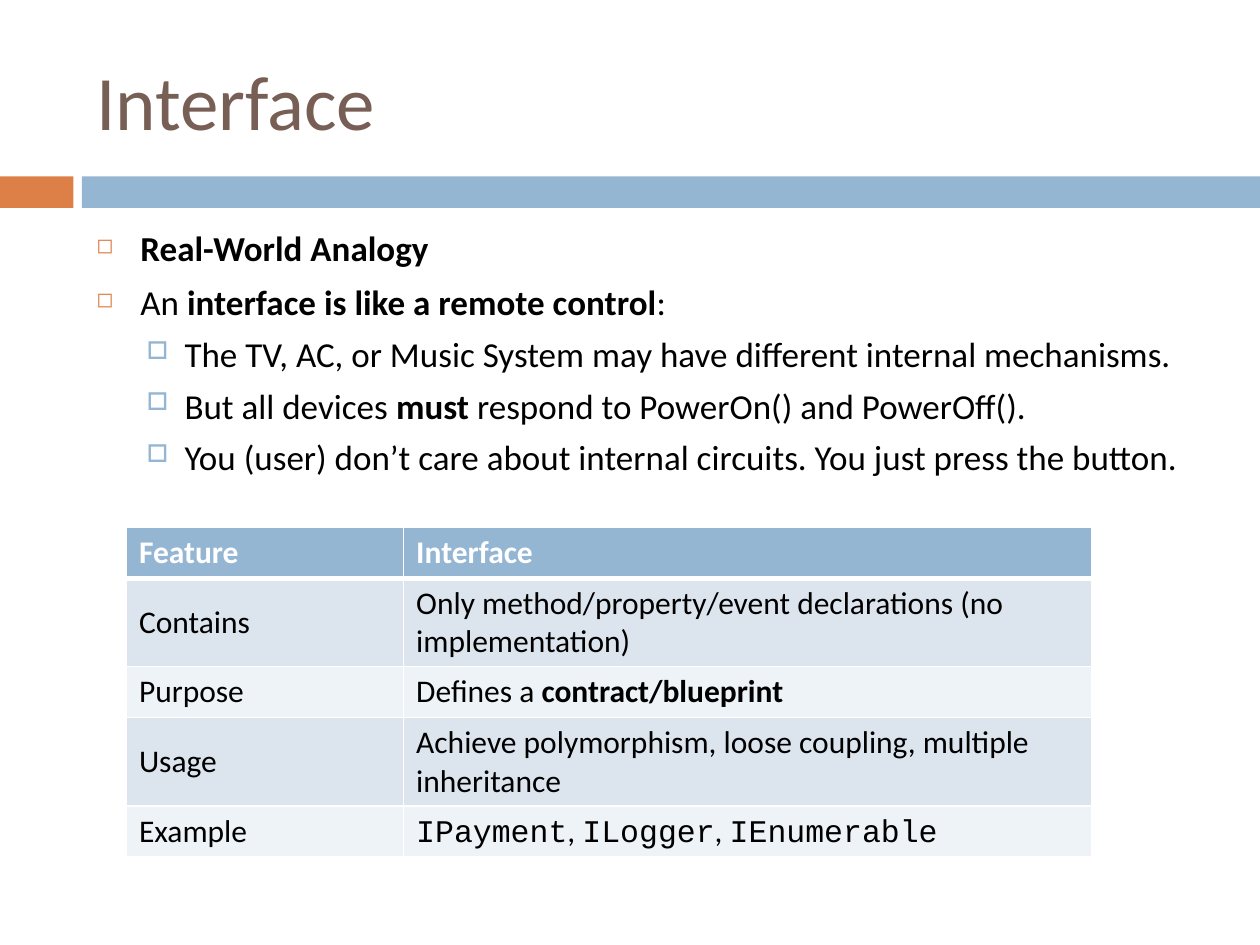
from lxml import etree
from pptx import Presentation
from pptx.dml.color import RGBColor
from pptx.enum.shapes import MSO_SHAPE
from pptx.enum.text import MSO_ANCHOR
from pptx.oxml.ns import qn
from pptx.util import Pt

COLORS = {
    "orange": "DD8047", "blue": "94B6D2", "brown": "775F55",
    "black": "000000", "white": "FFFFFF",
    "band_dark": "DCE5EE", "band_light": "EEF3F7",
}
FONT, CODE_FONT = "Calibri", "Courier New"

# Per level: left margin, hanging indent, space before, bullet, colour, size %
LEVELS = [
    (25.2, 25.2, 7, "◻", "orange", 60),
    (50.4, 21.6, 5.5, "□", "blue", 70),
]

# Runs are (text, style), where style is "", "bold" or "code"
BULLETS = [
    (0, [("Real-World Analogy", "bold")]),
    (0, [("An ", ""), ("interface is like a remote control", "bold"), (":", "")]),
    (1, [("The TV, AC, or Music System may have different internal mechanisms.", "")]),
    (1, [("But all devices ", ""), ("must", "bold"),
         (" respond to PowerOn() and PowerOff().", "")]),
    (1, [("You (user) don’t care about internal circuits. "
          "You just press the button.", "")]),
]

ROWS = [
    ([("Feature", "bold")], [("Interface", "bold")]),
    ([("Contains", "")],
     [("Only method/property/event declarations (no implementation)", "")]),
    ([("Purpose", "")], [("Defines a ", ""), ("contract/blueprint", "bold")]),
    ([("Usage", "")],
     [("Achieve polymorphism, loose coupling, multiple inheritance", "")]),
    ([("Example", "")],
     [("IPayment", "code"), (", ", ""), ("ILogger", "code"), (", ", ""),
      ("IEnumerable", "code")]),
]
COL_WIDTHS = [158.4, 393.12]
ROW_HEIGHTS = [29.2, 50.4, 29.2, 50.4, 29.2]


def rgb(name):
    return RGBColor.from_string(COLORS[name])


def add_runs(p, runs, size, color):
    for text, style in runs:
        r = p.add_run()
        r.text = text
        r.font.name = CODE_FONT if style == "code" else FONT
        r.font.size = Pt(size)
        r.font.bold = style == "bold"
        r.font.color.rgb = rgb(color)


def add_text_frame(s, box, anchor):
    tf = s.shapes.add_textbox(*map(Pt, box)).text_frame
    tf.word_wrap = True
    tf.vertical_anchor = anchor
    return tf


def set_bullet(p, level):
    left, hanging, _, char, color, percent = LEVELS[level]
    pPr = p._p.get_or_add_pPr()
    pPr.set("marL", str(Pt(left)))
    pPr.set("indent", str(-Pt(hanging)))
    clr = etree.SubElement(pPr, qn("a:buClr"))
    etree.SubElement(clr, qn("a:srgbClr"), val=COLORS[color])
    etree.SubElement(pPr, qn("a:buSzPct"), val=str(percent * 1000))
    etree.SubElement(pPr, qn("a:buChar"), char=char)


def set_borders(cell, bottom):
    tcPr = cell._tc.get_or_add_tcPr()
    widths = {"a:lnL": 1, "a:lnR": 1, "a:lnT": 1, "a:lnB": bottom}
    for i, (tag, width) in enumerate(widths.items()):
        ln = etree.Element(qn(tag), w=str(Pt(width)))
        fill = etree.SubElement(ln, qn("a:solidFill"))
        etree.SubElement(fill, qn("a:srgbClr"), val=COLORS["white"])
        tcPr.insert(i, ln)  # borders come before the fill


def add_title(s, box):
    tf = add_text_frame(s, box, MSO_ANCHOR.MIDDLE)
    add_runs(tf.paragraphs[0], [("Interface", "")], 44, "brown")


def add_divider(s, box):
    left, top, width, height = box
    accent, gap = 42, 4.8
    start = accent + gap
    for x, w, color in ((left, accent, "orange"),
                        (left + start, width - start, "blue")):
        sp = s.shapes.add_shape(MSO_SHAPE.RECTANGLE,
                                Pt(x), Pt(top), Pt(w), Pt(height))
        sp.shadow.inherit = False
        sp.fill.solid()
        sp.fill.fore_color.rgb = rgb(color)
        sp.line.fill.background()


def add_bullets(s, box):
    tf = add_text_frame(s, box, MSO_ANCHOR.TOP)
    for i, (level, runs) in enumerate(BULLETS):
        p = tf.add_paragraph() if i else tf.paragraphs[0]
        p.level = level
        set_bullet(p, level)
        if i:
            p.space_before = Pt(LEVELS[level][2])
        add_runs(p, runs, 20, "black")


def add_feature_table(s, box):
    table = s.shapes.add_table(len(ROWS), len(COL_WIDTHS), *map(Pt, box)).table
    for column, width in zip(table.columns, COL_WIDTHS):
        column.width = Pt(width)
    for i, (row, height) in enumerate(zip(table.rows, ROW_HEIGHTS)):
        row.height = Pt(height)
        header = i == 0
        band = "blue" if header else "band_dark" if i % 2 else "band_light"
        for cell, runs in zip(row.cells, ROWS[i]):
            cell.vertical_anchor = MSO_ANCHOR.MIDDLE
            cell.fill.solid()
            cell.fill.fore_color.rgb = rgb(band)
            set_borders(cell, bottom=3 if header else 1)
            add_runs(cell.text_frame.paragraphs[0], runs, 18,
                     "white" if header else "black")


def main():
    prs = Presentation()
    prs.slide_width, prs.slide_height = Pt(720), Pt(540)
    s = prs.slides.add_slide(prs.slide_layouts[6])
    add_divider(s, (0, 100.8, 720, 18))
    add_title(s, (48, 18, 642, 78))
    add_bullets(s, (48, 126, 642, 354))
    add_feature_table(s, (72.25, 301.2, sum(COL_WIDTHS), sum(ROW_HEIGHTS)))
    prs.save("out.pptx")


if __name__ == "__main__":
    main()
